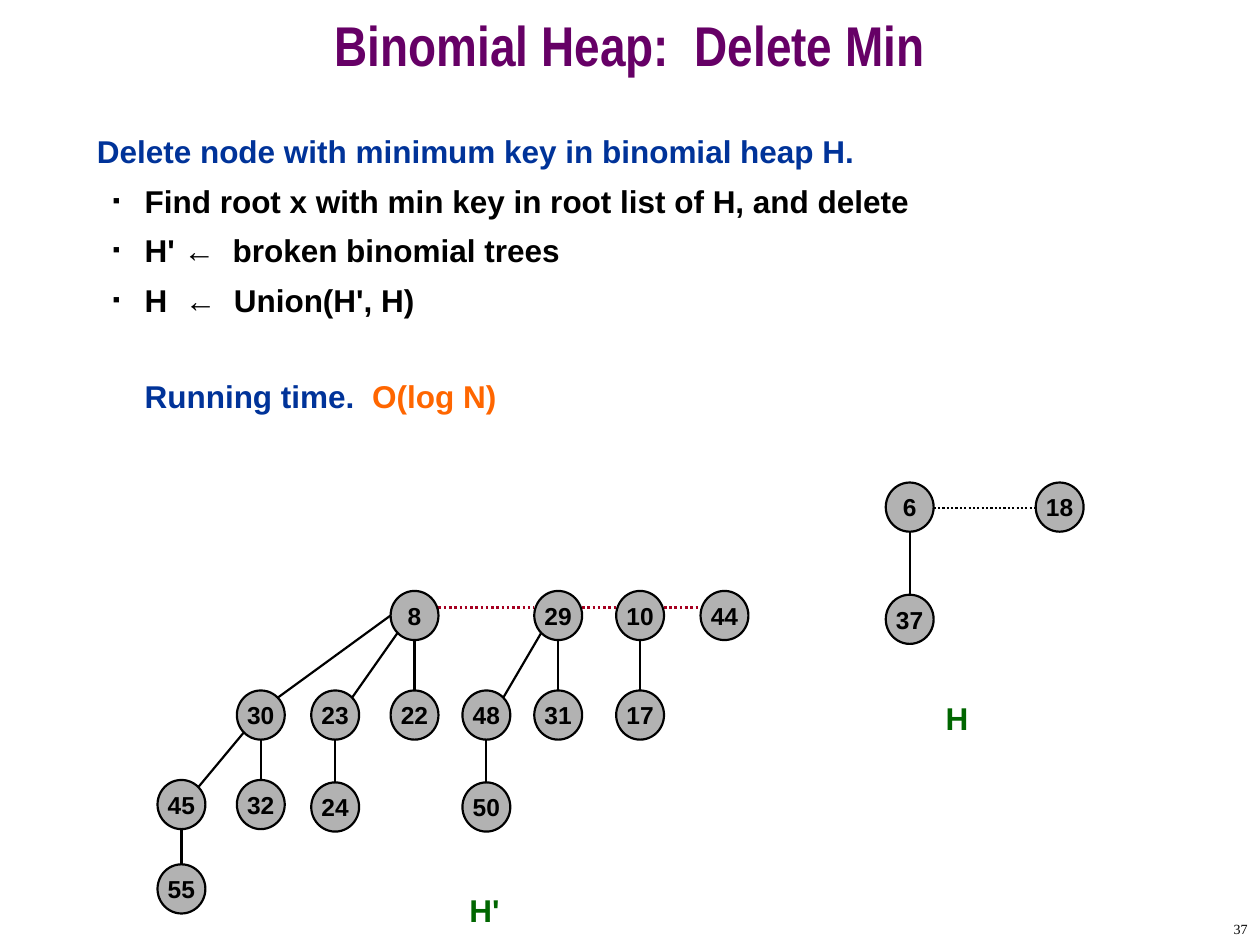
from dataclasses import dataclass
from math import sqrt
from typing import Optional

from lxml.etree import SubElement
from pptx import Presentation
from pptx.dml.color import RGBColor
from pptx.enum.dml import MSO_LINE_DASH_STYLE as Dash
from pptx.enum.shapes import MSO_CONNECTOR as Connector, MSO_SHAPE as Shape
from pptx.enum.text import MSO_ANCHOR as Anchor, MSO_AUTO_SIZE as AutoSize, PP_ALIGN as Align
from pptx.oxml.ns import qn
from pptx.util import Inches, Pt

COLORS = {
    "title": "660066", "heading": "003399", "cost": "FF6600", "heap": "006600",
    "node": "B2B2B2", "black": "000000", "roots": "A50021",
}
NODE_W, NODE_H = 0.38, 0.39


@dataclass(frozen=True)
class Node:
    key: str
    left: float
    top: float
    parent: Optional[str] = None
    joint: str = "corner"  # where a slanted edge meets the parent

    @property
    def cx(self) -> float:
        return self.left + NODE_W / 2

    @property
    def cy(self) -> float:
        return self.top + NODE_H / 2


@dataclass(frozen=True)
class RootLink:
    start: str
    end: str
    y: float
    color: str
    width: float


ROOT_Y, CHILD_Y = 4.69, 5.48
NODES = [
    # Broken trees H'
    Node("8", 3.1, ROOT_Y), Node("29", 4.24, ROOT_Y),
    Node("10", 4.89, ROOT_Y), Node("44", 5.56, ROOT_Y),
    Node("30", 1.88, CHILD_Y, "8", "side"), Node("23", 2.47, CHILD_Y, "8"),
    Node("22", 3.1, CHILD_Y, "8"), Node("48", 3.67, CHILD_Y, "29"),
    Node("31", 4.24, CHILD_Y, "29"), Node("17", 4.89, CHILD_Y, "10"),
    Node("45", 1.25, 6.19, "30"), Node("32", 1.88, 6.19, "30"),
    Node("24", 2.47, 6.21, "23"), Node("50", 3.67, 6.21, "48"),
    Node("55", 1.25, 6.86, "45"),
    # Remaining heap H
    Node("6", 7.03, 3.83), Node("18", 8.22, 3.83), Node("37", 7.03, 4.72, "6"),
]
ROOT_LINKS = [
    RootLink("8", "29", 4.82, "roots", 1.5),
    RootLink("29", "10", 4.82, "roots", 1.5),
    RootLink("10", "44", 4.82, "roots", 1.5),
    RootLink("6", "18", 4.03, "black", 1.25),
]
STEPS = [
    "Find root x with min key in root list of H, and delete",
    "H' ←  broken binomial trees",
    "H  ←  Union(H', H)",
]


def rgb(name: str) -> RGBColor:
    return RGBColor.from_string(COLORS[name])


def write(paragraph, text: str, *, size: float = 18, color: str = "black",
          font: str = "Arial", bold: bool = True, align=None,
          before: Optional[float] = None, spacing: Optional[float] = None) -> None:
    if align is not None:
        paragraph.alignment = align
    if before is not None:
        paragraph.space_before = Pt(before)
    if spacing is not None:
        paragraph.line_spacing = spacing
    run = paragraph.add_run()
    run.text = text
    run.font.name, run.font.size, run.font.bold = font, Pt(size), bold
    run.font.color.rgb = rgb(color)


def indent(paragraph, left: float, first: float = 0) -> None:
    props = paragraph._p.get_or_add_pPr()
    props.set("marL", str(Inches(left)))
    props.set("indent", str(Inches(first)))


def add_bullet(paragraph) -> None:
    indent(paragraph, 0.38, -0.25)
    props = paragraph._p.get_or_add_pPr()
    SubElement(SubElement(props, qn("a:buClr")), qn("a:srgbClr"), val=COLORS["black"])
    SubElement(props, qn("a:buSzPct"), val="35000")
    SubElement(props, qn("a:buFont"), typeface="Arial")
    SubElement(props, qn("a:buChar"), char="■")


def add_box(slide, left: float, top: float, width: float, height: float):
    frame = slide.shapes.add_textbox(
        Inches(left), Inches(top), Inches(width), Inches(height)).text_frame
    frame.word_wrap = True
    return frame


def add_line(slide, x1: float, y1: float, x2: float, y2: float, *,
             color: str = "black", width: float = 1.25, dash=None) -> None:
    line = slide.shapes.add_connector(
        Connector.STRAIGHT, Inches(x1), Inches(y1), Inches(x2), Inches(y2))
    line.line.color.rgb = rgb(color)
    line.line.width = Pt(width)
    if dash is not None:
        line.line.dash_style = dash
    SubElement(line._element.spPr, qn("a:effectLst"))


def add_edge(slide, child: Node, parent: Node) -> None:
    if child.left == parent.left:
        add_line(slide, child.cx, child.top, parent.cx, parent.top + NODE_H)
        return
    dx, dy = NODE_W / 2 / sqrt(2), NODE_H / 2 / sqrt(2)
    end = (parent.left, parent.cy) if child.joint == "side" else (parent.cx - dx, parent.cy + dy)
    add_line(slide, child.cx + dx, child.cy - dy, *end)


def add_node(slide, node: Node) -> None:
    circle = slide.shapes.add_shape(
        Shape.OVAL, Inches(node.left), Inches(node.top), Inches(NODE_W), Inches(NODE_H))
    circle.shadow.inherit = False
    circle.fill.solid()
    circle.fill.fore_color.rgb = rgb("node")
    circle.line.color.rgb = rgb("black")
    circle.line.width = Pt(1.25)
    frame = circle.text_frame
    frame.word_wrap = False
    frame.vertical_anchor = Anchor.MIDDLE
    write(frame.paragraphs[0], node.key, size=14, align=Align.CENTER)


def main() -> None:
    deck = Presentation()
    deck.slide_width, deck.slide_height = Inches(10), Inches(7.5)
    slide = deck.slides.add_slide(deck.slide_layouts[5])

    # Title
    title = slide.shapes.title
    title.left, title.top, title.width, title.height = 0, 0, Inches(10), Inches(0.83)
    title.text_frame.auto_size = AutoSize.NONE
    title.text_frame.vertical_anchor = Anchor.MIDDLE
    write(title.text_frame.paragraphs[0], "Binomial Heap:  Delete Min", size=32,
          color="title", font="Arial Narrow", align=Align.CENTER, spacing=0.7)

    # Algorithm and running time
    algorithm = add_box(slide, 0.67, 1, 8.58, 2.5)
    write(algorithm.paragraphs[0], "Delete node with minimum key in binomial heap H.",
          color="heading")
    for step in STEPS:
        paragraph = algorithm.add_paragraph()
        add_bullet(paragraph)
        write(paragraph, step, before=4.5, spacing=1.1)
    running_time = algorithm.add_paragraph()
    indent(running_time, 0.38)
    write(running_time, "Running time.  ", color="heading", before=33.5)
    write(running_time, "O(log N)", color="cost")

    # Heaps: edges, root lists, then nodes
    by_key = {node.key: node for node in NODES}
    for node in NODES:
        if node.parent:
            add_edge(slide, node, by_key[node.parent])
    for link in ROOT_LINKS:
        add_line(slide, by_key[link.start].left + NODE_W, link.y, by_key[link.end].left, link.y,
                 color=link.color, width=link.width, dash=Dash.ROUND_DOT)
    for node in NODES:
        add_node(slide, node)

    # Heap names
    for name, left, top in (("H", 7.25, 5.5), ("H'", 3.5, 7.02)):
        write(add_box(slide, left, top, 0.69, 0.4).paragraphs[0], name,
              color="heap", align=Align.CENTER)

    # Page number
    page = add_box(slide, 7.92, 7.25, 2.08, 0.25)
    page.vertical_anchor = Anchor.MIDDLE
    write(page.paragraphs[0], "37", size=8, font="Times New Roman", bold=False,
          align=Align.RIGHT)

    deck.save("out.pptx")


if __name__ == "__main__":
    main()
